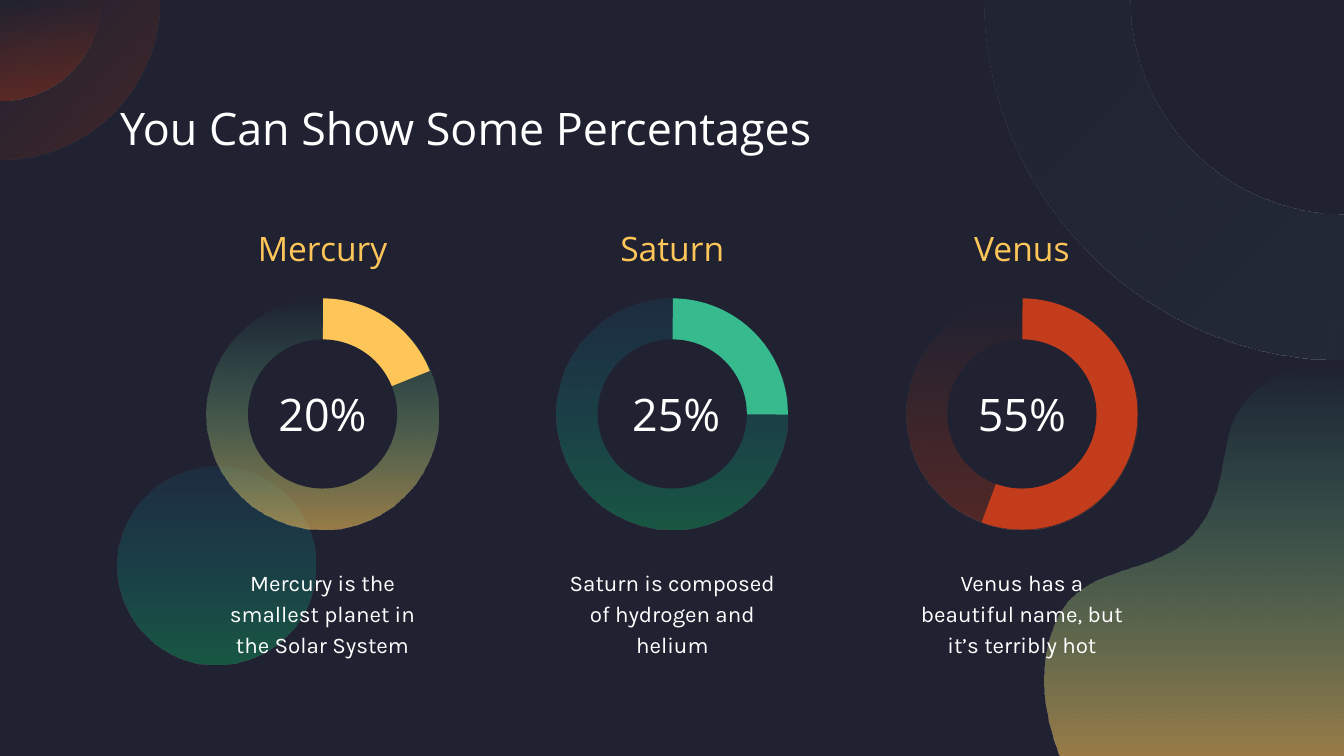
from dataclasses import dataclass
from math import cos, radians, sin

from pptx import Presentation
from pptx.dml.color import RGBColor
from pptx.enum.shapes import MSO_SHAPE
from pptx.enum.text import MSO_ANCHOR, PP_ALIGN
from pptx.oxml.ns import qn
from pptx.util import Inches, Pt

COLUMNS, ROWS = 100, 56.25
CELL = Inches(10) / COLUMNS
ARC_HANDLE = 0.55


@dataclass(frozen=True)
class Gradient:
    start: str
    start_opacity: int
    end: str
    end_opacity: int
    angle: int = 90


@dataclass(frozen=True)
class Theme:
    night: str = "202231"
    white: str = "FFFFFF"
    yellow: str = "FEC659"
    green: str = "36BA8E"
    red: str = "C33D1D"
    dusk: Gradient = Gradient("FEC659", 55, "4AFFC3", 0)
    lagoon: Gradient = Gradient("0AC668", 33, "0A94C6", 10)
    ember: Gradient = Gradient("9C3218", 42, "9C3218", 0)
    ember_halo: Gradient = Gradient("9C3218", 30, "9C3218", 0, 135)
    haze: Gradient = Gradient("252C3A", 75, "252C3A", 20, 135)
    heading_font: str = "Open Sans"
    body_font: str = "Karla"
    title_size: int = 24
    name_size: int = 18
    body_size: int = 12


@dataclass(frozen=True)
class Planet:
    name: str
    percent: str
    note: str
    track: Gradient
    color: str
    sweep: float
    percent_shift: float


def quarter_arc(center_x, center_y, radius, start, turn):
    def spot(along, across):
        angle = radians(start)
        return (center_x + radius * (along * cos(angle) - turn * across * sin(angle)),
                center_y + radius * (along * sin(angle) + turn * across * cos(angle)))

    return spot(1, ARC_HANDLE), spot(ARC_HANDLE, 1), spot(0, 1)


class SlideBuilder:
    def __init__(self, page, theme):
        self.page = page
        self.theme = theme
        page.background.fill.solid()
        page.background.fill.fore_color.rgb = RGBColor.from_string(theme.night)

    def place(self, *cells):
        return [round(cell * CELL) for cell in cells]

    def paint(self, shape, paint):
        shape.shadow.inherit = False
        shape.line.fill.background()
        if isinstance(paint, str):
            shape.fill.solid()
            shape.fill.fore_color.rgb = RGBColor.from_string(paint)
            return
        shape.fill.gradient()
        shape.fill.gradient_angle = paint.angle
        stops = shape.fill.gradient_stops
        for stop, position, color in zip(stops, (0, 1), (paint.start, paint.end)):
            stop.position = position
            stop.color.rgb = RGBColor.from_string(color)
        colors = shape._element.spPr.iter(qn("a:srgbClr"))
        for color, opacity in zip(colors, (paint.start_opacity, paint.end_opacity)):
            alpha = color.makeelement(qn("a:alpha"), {"val": str(opacity * 1000)})
            color.append(alpha)

    def outline(self, start, segments, paint):
        points = [self.place(*point) for segment in segments for point in segment]
        builder = self.page.shapes.build_freeform(*self.place(*start), scale=1.0)
        builder.add_line_segments(points, close=True)
        shape = builder.convert_to_shape()
        lines = iter(list(shape._element.spPr.iter(qn("a:lnTo"))))
        for segment in segments:
            first, *others = [next(lines) for _ in segment]
            if others:
                first.tag = qn("a:cubicBezTo")
            for line in others:
                first.append(line[0])
                line.getparent().remove(line)
        self.paint(shape, paint)

    def disc(self, center_x, center_y, size, paint, preset=MSO_SHAPE.OVAL):
        left, top = center_x - size / 2, center_y - size / 2
        shape = self.page.shapes.add_shape(preset, *self.place(left, top, size, size))
        self.paint(shape, paint)
        return shape

    def ring(self, center_x, center_y, planet):
        size, hole, start = 17.2, 11.1, 270.3
        self.disc(center_x, center_y, size, planet.track)
        wedge = self.disc(center_x, center_y, size, planet.color, MSO_SHAPE.PIE)
        wedge.adjustments[0] = start * 0.6
        wedge.adjustments[1] = (start + planet.sweep) % 360 * 0.6
        self.disc(center_x, center_y, hole, self.theme.night)

    def text(self, area, words, size, color, font, align=PP_ALIGN.CENTER,
             anchor=MSO_ANCHOR.TOP, spacing=1.0):
        box = self.page.shapes.add_textbox(*self.place(*area))
        frame = box.text_frame
        frame.word_wrap = True
        frame.vertical_anchor = anchor
        frame.margin_left = frame.margin_right = Inches(0.1)
        frame.margin_top = frame.margin_bottom = Inches(0.1)
        frame.text = words
        para = frame.paragraphs[0]
        para.alignment = align
        para.line_spacing = spacing
        span = para.runs[0]
        span.font.size = Pt(size)
        span.font.name = font
        span.font.color.rgb = RGBColor.from_string(color)

    def backdrop(self):
        theme = self.theme
        corner = 0.05
        for radius, paint in ((11.85, theme.ember_halo), (7.45, theme.ember)):
            self.outline((corner, 0), [
                [(corner, radius)],
                quarter_arc(corner, 0, radius, 90, -1),
            ], paint)

        outer, inner, edge = 26.75, 15.95, COLUMNS + 0.05
        self.outline((COLUMNS - outer, 0), [
            quarter_arc(COLUMNS, 0, outer, 180, -1),
            [(edge, outer)],
            [(edge, inner)],
            [(COLUMNS, inner)],
            quarter_arc(COLUMNS, 0, inner, 90, 1),
        ], theme.haze)

        moon_x, moon_y, radius = 16.1, 42.1, 7.35
        self.outline((moon_x, moon_y - radius), [
            quarter_arc(moon_x, moon_y, radius, start, -1) for start in (270, 180, 90, 0)
        ], theme.lagoon)

        self.outline((98.3, 27.1), [
            [(96.9, 27.1), (95, 27.5), (93.2, 29.2)],
            [(90.1, 32.3), (91.9, 35.4), (89.2, 39.2)],
            [(86.5, 43.1), (80.7, 41.5), (78.6, 46.2)],
            [(76.5, 51), (78.9, ROWS), (78.9, ROWS)],
            [(COLUMNS, ROWS)],
            [(COLUMNS, 27.4)],
            [(COLUMNS, 27.4), (99.3, 27.1), (98.3, 27.1)],
        ], theme.dusk)

    def planet(self, center_x, planet):
        theme = self.theme
        self.ring(center_x, 30.8, planet)
        self.text((center_x - 8.15, 15.5, 16.3, 4), planet.name, theme.name_size,
                  theme.yellow, theme.heading_font, spacing=1.15)
        self.text((center_x - 9.1, 41.05, 18.2, 8.8), planet.note, theme.body_size,
                  theme.white, theme.body_font, spacing=1.15)
        self.text((center_x - 4.7 + planet.percent_shift, 27.8, 9.4, 5.9), planet.percent,
                  theme.title_size, theme.white, theme.heading_font,
                  anchor=MSO_ANCHOR.MIDDLE)


def main():
    theme = Theme()
    planets = [
        Planet("Mercury", "20%", "Mercury is the smallest planet in the Solar System",
               theme.dusk, theme.yellow, 67.8, 0),
        Planet("Saturn", "25%", "Saturn is composed of hydrogen and helium",
               theme.lagoon, theme.green, 90, 0.3),
        Planet("Venus", "55%", "Venus has a beautiful name, but it’s terribly hot",
               theme.ember, theme.red, 200.1, 0),
    ]
    deck = Presentation()
    deck.slide_width, deck.slide_height = round(COLUMNS * CELL), round(ROWS * CELL)
    slide = SlideBuilder(deck.slides.add_slide(deck.slide_layouts[6]), theme)
    slide.backdrop()
    slide.text((7.95, 6.5, 84.7, 6.3), "You Can Show Some Percentages", theme.title_size,
               theme.white, theme.heading_font, align=PP_ALIGN.LEFT)
    for index, planet in enumerate(planets):
        slide.planet(24 + 26.02 * index, planet)
    deck.save("out.pptx")


if __name__ == "__main__":
    main()
